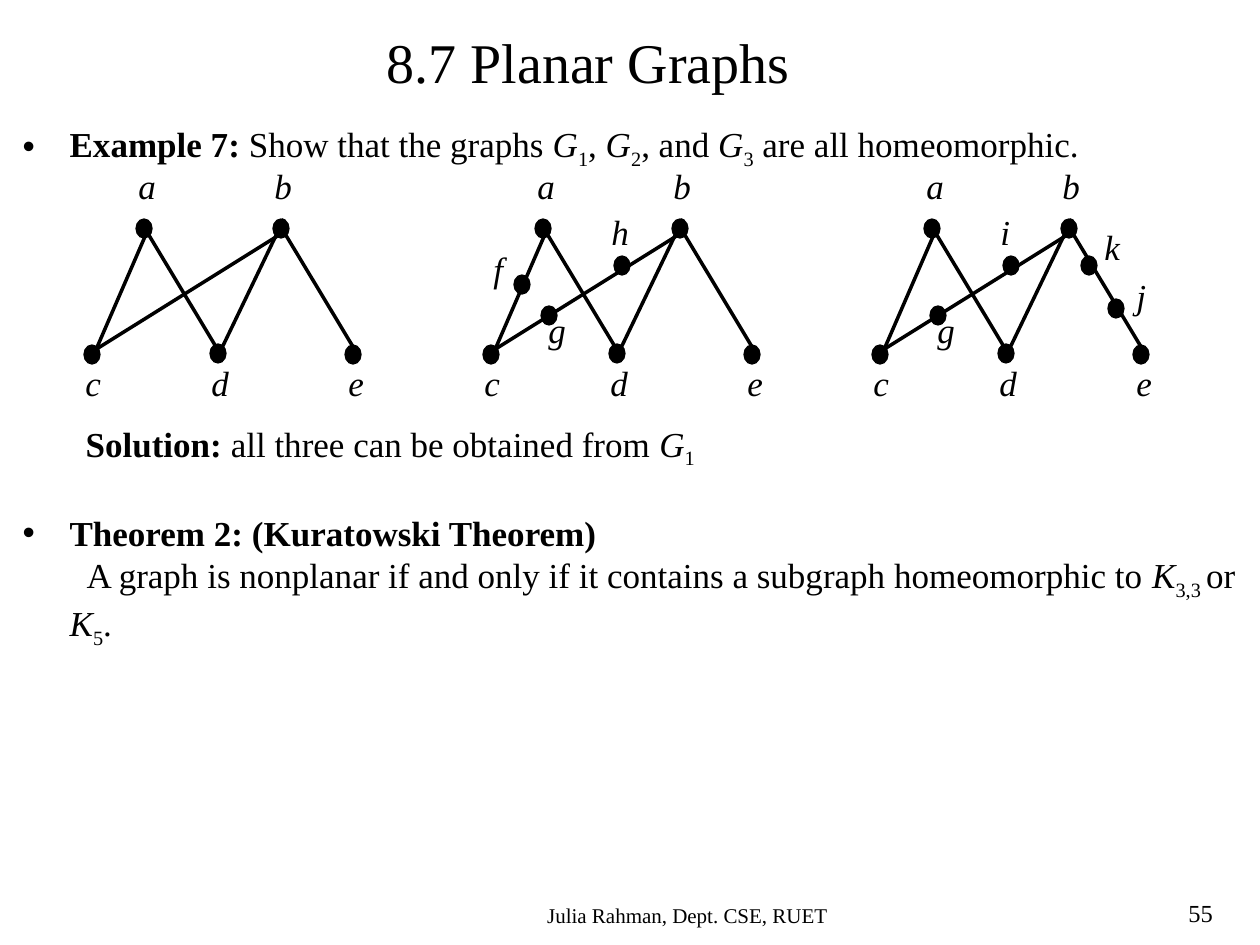
from dataclasses import dataclass

import pptx
import pptx.dml.color
import pptx.enum.shapes
import pptx.enum.text
import pptx.oxml.ns
import pptx.util
from lxml import etree

PX = pptx.util.Inches(1) // 126
FONT = "Times New Roman"
COLORS = {"ink": "000000", "paper": "FFFFFF"}
PLAIN, BOLD, ITALIC, SUB = {}, {"bold": True}, {"italic": True}, {"sub": True}


@dataclass(frozen=True)
class Vertex:
    name: str
    x: int
    y: int
    label_x: int
    label_y: int


@dataclass(frozen=True)
class Edge:
    x1: int
    y1: int
    x2: int
    y2: int


@dataclass(frozen=True)
class Graph:
    offset: int
    extra: tuple[Vertex, ...]


@dataclass(frozen=True)
class Item:
    runs: tuple
    margin: int
    indent: int
    bullet: bool = False
    level: int = 0
    before: int = 0


# The graph shared by all three drawings
BASE_VERTICES = (
    Vertex("a", 136, 219, 126, 158),
    Vertex("b", 273, 219, 262, 158),
    Vertex("c", 84, 345, 73, 355),
    Vertex("d", 210, 344, 199, 355),
    Vertex("e", 345, 345, 336, 355),
)
EDGES = (
    Edge(284, 219, 221, 350),
    Edge(147, 232, 92, 359),
    Edge(147, 232, 221, 355),
    Edge(358, 355, 284, 232),
    Edge(95, 350, 284, 232),
)

# Vertices that subdivide its edges
VERTEX_G = Vertex("g", 142, 306, 137, 302)
GRAPHS = (
    Graph(0, ()),
    Graph(399, (Vertex("f", 115, 275, 82, 241), VERTEX_G,
                Vertex("h", 215, 256, 200, 204))),
    Graph(788, (VERTEX_G, Vertex("i", 215, 256, 200, 204),
                Vertex("k", 293, 256, 304, 219),
                Vertex("j", 320, 299, 336, 268))),
)

ITEMS = (
    Item((("Example 7: ", BOLD), ("Show that the graphs ", PLAIN),
          ("G", ITALIC), ("1", SUB), (", ", PLAIN),
          ("G", ITALIC), ("2", SUB), (", and ", PLAIN),
          ("G", ITALIC), ("3", SUB), (" are all homeomorphic.", PLAIN)),
         margin=47, indent=-47, bullet=True),
    Item((("Solution: ", BOLD), ("all three can be obtained from ", PLAIN),
          ("G", ITALIC), ("1", SUB)),
         margin=63, indent=0, level=1, before=144),
    Item((("Theorem 2: (Kuratowski Theorem)", BOLD),),
         margin=47, indent=-47, bullet=True, before=24),
    Item((("A graph is nonplanar if and only if it contains a subgraph "
           "homeomorphic to ", PLAIN),
          ("K", ITALIC), ("3,3 ", SUB), ("or ", PLAIN),
          ("K", ITALIC), ("5", SUB), (".", PLAIN)),
         margin=47, indent=17),
)


def color(name: str) -> pptx.dml.color.RGBColor:
    return pptx.dml.color.RGBColor.from_string(COLORS[name])


def add_run(paragraph, text: str, size: int, style: dict) -> None:
    run = paragraph.add_run()
    run.text = text
    values = {"name": FONT, "size": pptx.util.Pt(size), "bold": False, "italic": False}
    values.update({key: value for key, value in style.items() if key != "sub"})
    for key, value in values.items():
        setattr(run.font, key, value)
    run.font.color.rgb = color("ink")
    if "sub" in style:
        run.font._element.set("baseline", "-25000")


def place(shape, left: int, top: int, width: int, height: int) -> None:
    box = {"left": left, "top": top, "width": width, "height": height}
    for key, value in box.items():
        setattr(shape, key, value * PX)


def set_frame(shape):
    frame = shape.text_frame
    values = {
        "word_wrap": True,
        "auto_size": pptx.enum.text.MSO_AUTO_SIZE.NONE,
        "vertical_anchor": pptx.enum.text.MSO_ANCHOR.TOP,
    }
    for key, value in values.items():
        setattr(frame, key, value)
    return frame


def write_line(shape, text: str, size: int, style: dict, align: str = "LEFT") -> None:
    paragraph = set_frame(shape).paragraphs[0]
    paragraph.alignment = getattr(pptx.enum.text.PP_ALIGN, align)
    add_run(paragraph, text, size, style)


def add_text(shapes, left: int, top: int, width: int, height: int,
             text: str, size: int, style: dict, align: str = "LEFT") -> None:
    shape = shapes.add_textbox(left * PX, top * PX, width * PX, height * PX)
    write_line(shape, text, size, style, align)


def write_items(shape, items: tuple[Item, ...]) -> None:
    frame = set_frame(shape)
    for index, item in enumerate(items):
        paragraph = frame.add_paragraph() if index else frame.paragraphs[0]
        paragraph.level = item.level
        paragraph.line_spacing = 1.0
        paragraph.space_before = pptx.util.Pt(item.before)
        properties = paragraph._p.get_or_add_pPr()
        properties.set("marL", str(item.margin * PX))
        properties.set("indent", str(item.indent * PX))
        tag = "a:buChar" if item.bullet else "a:buNone"
        bullet = etree.SubElement(properties, pptx.oxml.ns.qn(tag))
        if item.bullet:
            bullet.set("char", "•")
        for text, style in item.runs:
            add_run(paragraph, text, 20, style)


def add_edge(shapes, edge: Edge, offset: int) -> None:
    line = shapes.add_connector(
        pptx.enum.shapes.MSO_CONNECTOR.STRAIGHT,
        (edge.x1 + offset) * PX, edge.y1 * PX, (edge.x2 + offset) * PX, edge.y2 * PX)
    line.line.color.rgb = color("ink")
    line.line.width = pptx.util.Pt(2)
    etree.SubElement(line._element.spPr, pptx.oxml.ns.qn("a:effectLst"))


def add_vertex(shapes, vertex: Vertex, offset: int) -> None:
    dot = shapes.add_shape(
        pptx.enum.shapes.MSO_SHAPE.FLOWCHART_CONNECTOR,
        (vertex.x + offset) * PX, vertex.y * PX, 16 * PX, 19 * PX)
    dot.shadow.inherit = False
    dot.fill.solid()
    dot.fill.fore_color.rgb = color("ink")
    dot.line.color.rgb = color("ink")
    dot.line.width = pptx.util.Pt(0.75)
    add_text(shapes, vertex.label_x + offset, vertex.label_y, 43, 64,
             vertex.name, 20, ITALIC)


def add_graph(slide, graph: Graph) -> None:
    shapes = slide.shapes.add_group_shape().shapes
    for edge in EDGES:
        add_edge(shapes, edge, graph.offset)
    for vertex in BASE_VERTICES + graph.extra:
        add_vertex(shapes, vertex, graph.offset)


def main() -> None:
    presentation = pptx.Presentation()
    presentation.slide_width = 1260 * PX
    presentation.slide_height = 945 * PX
    slide = presentation.slides.add_slide(presentation.slide_layouts[1])
    slide.background.fill.solid()
    slide.background.fill.fore_color.rgb = color("paper")

    # Title and statements
    title, body = slide.placeholders
    place(title, 374, 21, 466, 81)
    write_line(title, "8.7 Planar Graphs", 32, PLAIN)
    place(body, 10, 116, 1250, 777)
    write_items(body, ITEMS)

    # Footer and page number
    add_text(slide.shapes, 325, 896, 725, 38,
             "Julia Rahman, Dept. CSE, RUET", 12, PLAIN, "CENTER")
    add_text(slide.shapes, 1176, 892, 84, 42, "55", 14, PLAIN)

    # Three homeomorphic graphs
    for graph in GRAPHS:
        add_graph(slide, graph)

    presentation.save("out.pptx")


if __name__ == "__main__":
    main()
